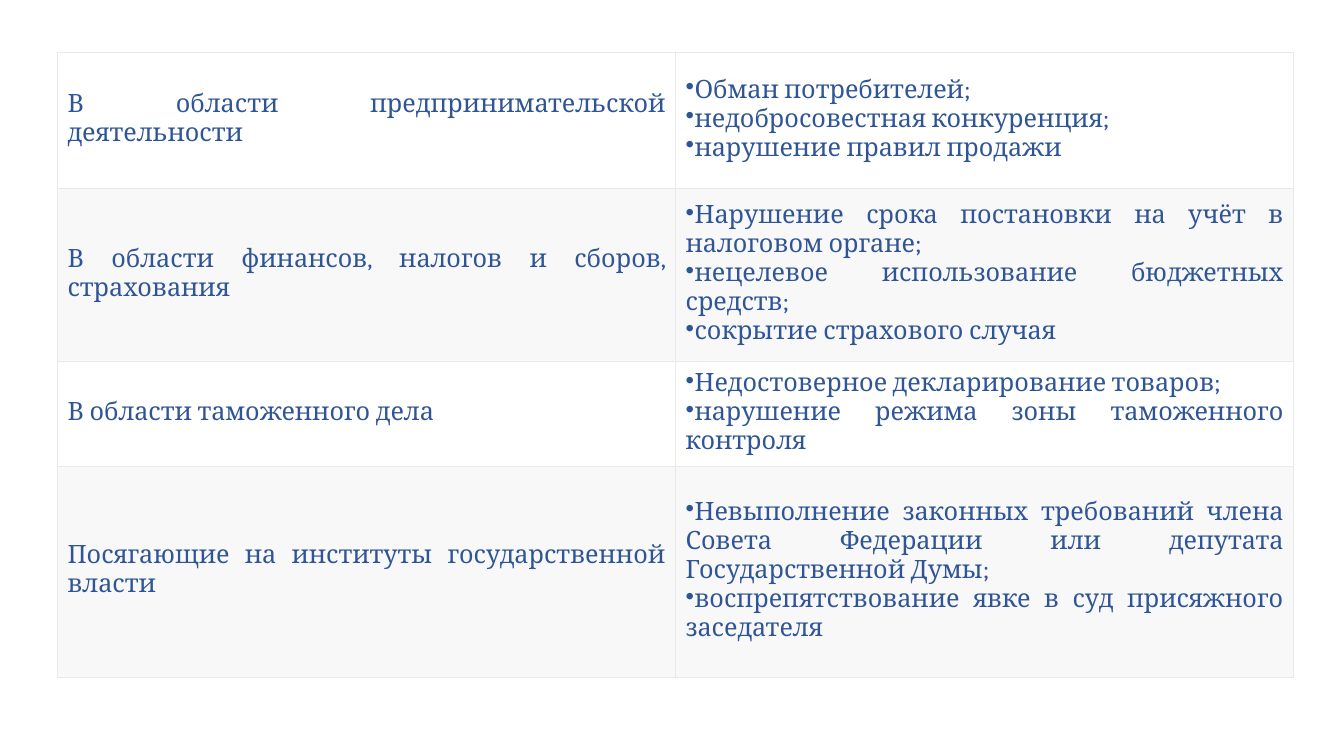
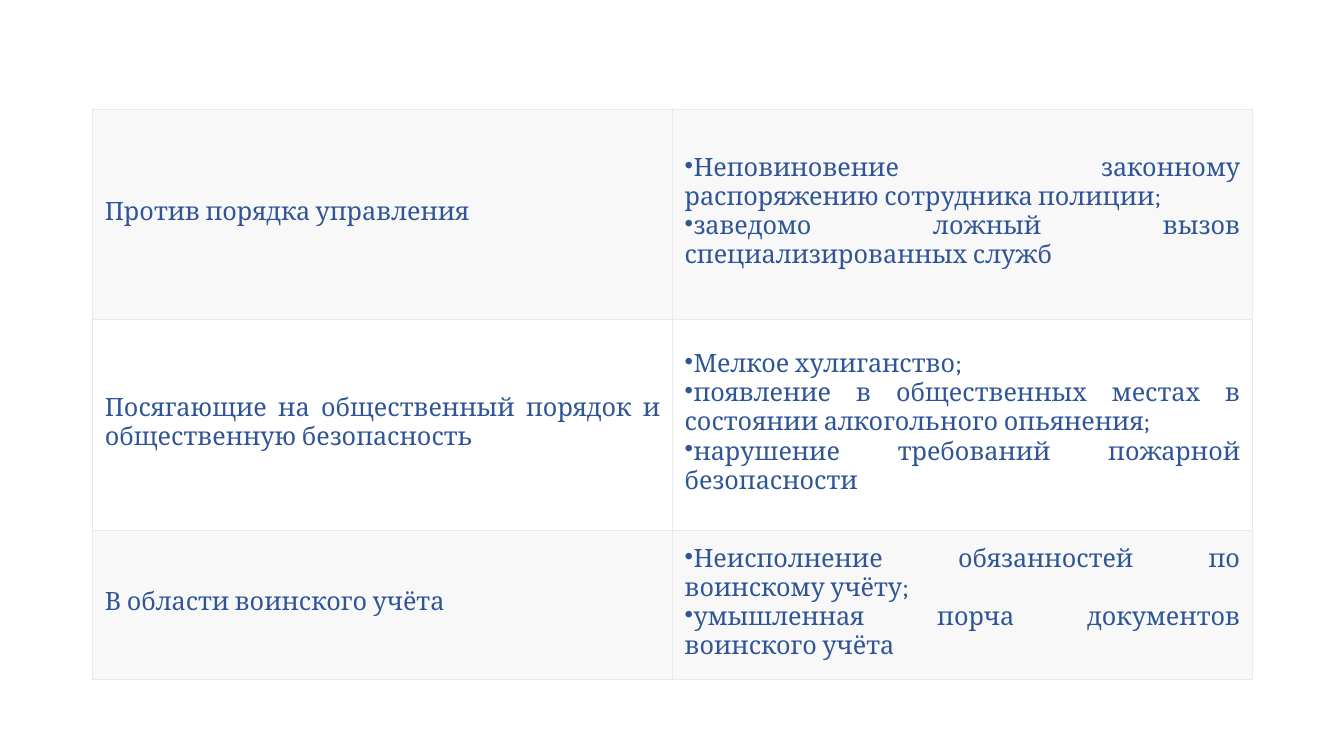
from lxml import etree
from pptx import Presentation
from pptx.dml.color import RGBColor
from pptx.enum.text import MSO_ANCHOR, PP_ALIGN
from pptx.oxml.ns import qn
from pptx.util import Inches, Pt

COLORS = {"text": "2F5597", "plain": "FFFFFF", "shaded": "F8F8F8", "border": "E9E9E9"}
FONT = "Cambria"
TEXT_SIZE = 18
BORDER_WIDTH = 0.6
JUSTIFY = PP_ALIGN.JUSTIFY
MIDDLE = MSO_ANCHOR.MIDDLE

ECONOMY_AND_STATE = [
    (1.35, "В области предпринимательской деятельности",
     ["Обман потребителей;",
      "недобросовестная конкуренция;",
      "нарушение правил продажи"]),
    (1.72, "В области финансов, налогов и сборов, страхования",
     ["Нарушение срока постановки на учёт в налоговом органе;",
      "нецелевое использование бюджетных средств;",
      "сокрытие страхового случая"]),
    (0.98, "В области таможенного дела",
     ["Недостоверное декларирование товаров;",
      "нарушение режима зоны таможенного контроля"]),
    (2.09, "Посягающие на институты государственной власти",
     ["Невыполнение законных требований члена Совета Федерации или депутата "
      "Государственной Думы;",
      "воспрепятствование явке в суд присяжного заседателя"]),
]
PUBLIC_ORDER = [
    (2.09, "Против порядка управления",
     ["Неповиновение законному распоряжению сотрудника полиции;",
      "заведомо ложный вызов специализированных служб"]),
    (2.09, "Посягающие на общественный порядок и общественную безопасность",
     ["Мелкое хулиганство;",
      "появление в общественных местах в состоянии алкогольного опьянения;",
      "нарушение требований пожарной безопасности"]),
    (1.48, "В области воинского учёта",
     ["Неисполнение обязанностей по воинскому учёту;",
      "умышленная порча документов воинского учёта"]),
]


def write_text(tf, lines, size=TEXT_SIZE, color="text", align=JUSTIFY, bullet=None):
    for i, line in enumerate(lines):
        p = tf.paragraphs[0] if i == 0 else tf.add_paragraph()
        p.alignment = align
        r = p.add_run()
        r.text = line
        r.font.name = FONT
        r.font.size = Pt(size)
        r.font.color.rgb = RGBColor.from_string(COLORS[color])
        if bullet:
            etree.SubElement(p._p.get_or_add_pPr(), qn("a:buChar"), char=bullet)


def add_borders(cell):
    tc_pr = cell._tc.get_or_add_tcPr()
    for side in ("lnL", "lnR", "lnT", "lnB"):
        ln = etree.SubElement(tc_pr, qn(f"a:{side}"), w=str(Pt(BORDER_WIDTH)))
        fill = etree.SubElement(ln, qn("a:solidFill"))
        etree.SubElement(fill, qn("a:srgbClr"), val=COLORS["border"])


def style_cell(cell, fill, side_inset, top_inset):
    cell.vertical_anchor = MIDDLE
    cell.margin_left = cell.margin_right = cell.margin_bottom = Inches(side_inset)
    cell.margin_top = Inches(top_inset)
    add_borders(cell)
    cell.fill.solid()
    cell.fill.fore_color.rgb = RGBColor.from_string(COLORS[fill])


def add_offence_table(s, offences, left, top, width, insets, stripes):
    """Place areas of law beside their offences, with alternating row fills."""
    height = sum(row_height for row_height, _, _ in offences)
    table = s.shapes.add_table(len(offences), 2, Inches(left), Inches(top),
                               Inches(width), Inches(height)).table
    table.first_row = table.horz_banding = False
    for column in table.columns:
        column.width = Inches(width / 2)
    for i, (row_height, area, examples) in enumerate(offences):
        row = table.rows[i]
        row.height = Inches(row_height)
        area_cell, examples_cell = row.cells
        for cell in (area_cell, examples_cell):
            style_cell(cell, stripes[i % 2], *insets)
        write_text(area_cell.text_frame, [area])
        write_text(examples_cell.text_frame, examples, bullet="•")


def main():
    prs = Presentation()
    prs.slide_width, prs.slide_height = Inches(13.33), Inches(7.5)
    blank = prs.slide_layouts[6]
    add_offence_table(prs.slides.add_slide(blank), ECONOMY_AND_STATE, 0.57, 0.52, 12.26,
                      insets=(0.1, 0.07), stripes=("plain", "shaded"))
    add_offence_table(prs.slides.add_slide(blank), PUBLIC_ORDER, 0.92, 1.08, 11.5,
                      insets=(0.12, 0.08), stripes=("shaded", "plain"))
    prs.save("out.pptx")


if __name__ == "__main__":
    main()
